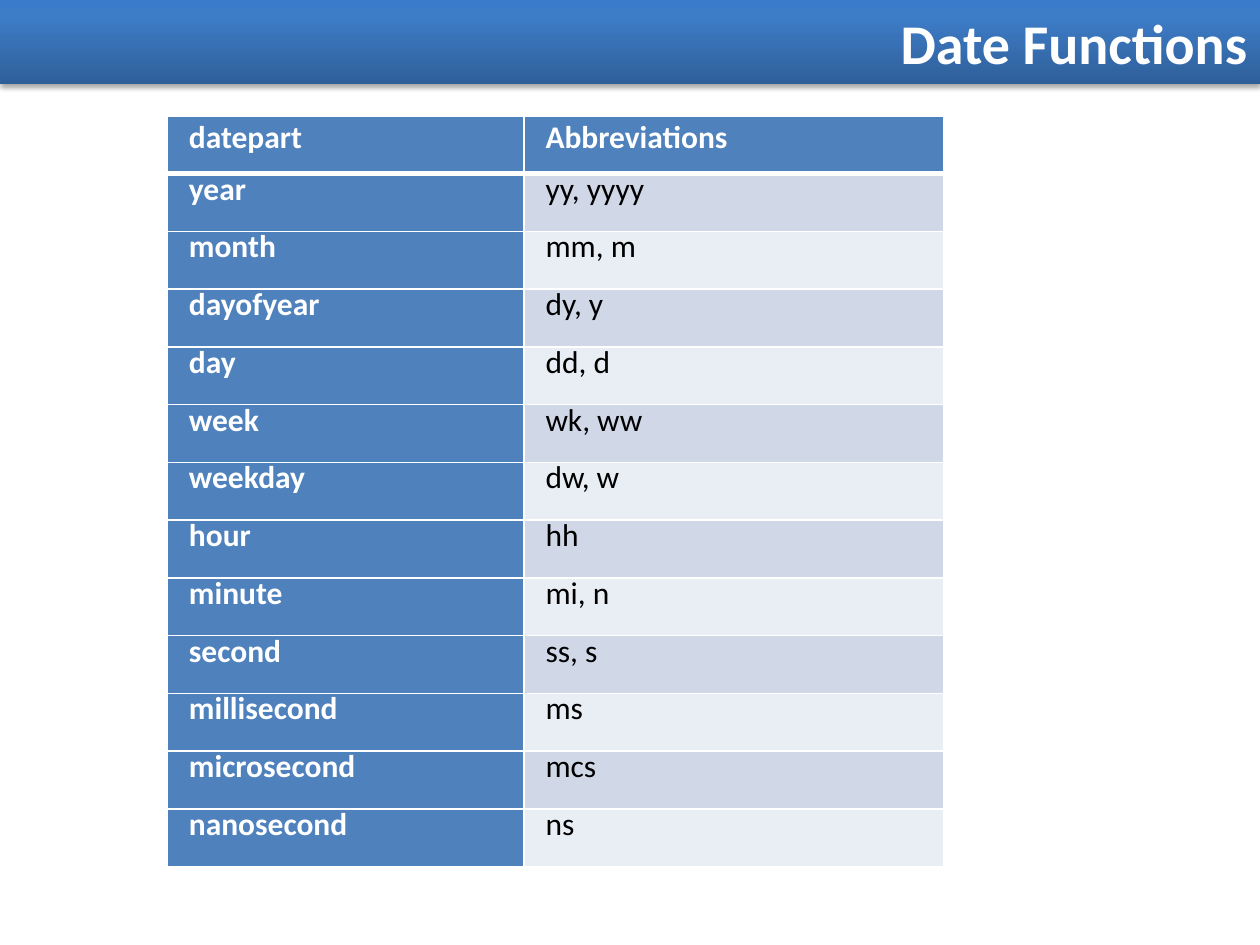
from dataclasses import dataclass

from lxml import etree
from pptx import Presentation
from pptx.dml.color import RGBColor
from pptx.enum.shapes import MSO_SHAPE
from pptx.enum.text import MSO_ANCHOR, PP_ALIGN
from pptx.oxml import parse_xml
from pptx.oxml.ns import qn
from pptx.util import Inches, Pt

RECTANGLE = MSO_SHAPE.RECTANGLE
TOP, MIDDLE = MSO_ANCHOR.TOP, MSO_ANCHOR.MIDDLE
LEFT, RIGHT = PP_ALIGN.LEFT, PP_ALIGN.RIGHT
DRAWING_NS = "http://schemas.openxmlformats.org/drawingml/2006/main"


@dataclass(frozen=True)
class Theme:
    """Colours, font and type sizes of the slide."""
    font: str = "Calibri"
    title_size: float = 32
    cell_size: float = 18
    cell_leading: float = 13.5
    white: str = "FFFFFF"
    black: str = "000000"
    accent: str = "4F81BD"
    bands: tuple = ("D0D8E8", "E9EDF4")
    banner_stops: tuple = ((0, "2F5F99"), (80, "3D7CC7"), (100, "3A7CCB"))


THEME = Theme()
DATEPARTS = [
    ("datepart", "Abbreviations"),
    ("year", "yy, yyyy"),
    ("month", "mm, m"),
    ("dayofyear", "dy, y"),
    ("day", "dd, d"),
    ("week", "wk, ww"),
    ("weekday", "dw, w"),
    ("hour", "hh"),
    ("minute", "mi, n"),
    ("second", "ss, s"),
    ("millisecond", "ms"),
    ("microsecond", "mcs"),
    ("nanosecond", "ns"),
]


def write_text(frame, text, size, color, bold=True, align=LEFT, leading=None, indent=0):
    """Write one formatted paragraph into a text frame."""
    paragraph = frame.paragraphs[0]
    paragraph.alignment = align
    if leading:
        paragraph.line_spacing = Pt(leading)
    if indent:
        paragraph._p.get_or_add_pPr().set("marL", str(Inches(indent)))
    run = paragraph.add_run()
    run.text = text
    run.font.name = THEME.font
    run.font.size = Pt(size)
    run.font.bold = bold
    run.font.color.rgb = RGBColor.from_string(color)


def set_borders(cell, **widths):
    """Draw white cell borders with the given widths in points."""
    properties = cell._tc.get_or_add_tcPr()
    for position, side in enumerate("LRTB"):
        properties.insert(position, parse_xml(
            f'<a:ln{side} xmlns:a="{DRAWING_NS}" w="{Pt(widths.get(side, 1))}">'
            f'<a:solidFill><a:srgbClr val="{THEME.white}"/></a:solidFill></a:ln{side}>'))


def add_datepart_table(slide, left, top, height, column_widths):
    """Place the datepart table with its header row and banded values."""
    table = slide.shapes.add_table(
        len(DATEPARTS), len(column_widths), Inches(left), Inches(top),
        Inches(sum(column_widths)), Inches(height)).table
    table.horz_banding = False
    for column, width in zip(table.columns, column_widths):
        column.width = Inches(width)
    for row_index, entries in enumerate(DATEPARTS):
        is_header = row_index == 0
        for column_index, entry in enumerate(entries):
            is_label = is_header or column_index == 0
            cell = table.cell(row_index, column_index)
            cell.margin_left = cell.margin_right = Inches(0.07)
            cell.margin_top = cell.margin_bottom = Inches(0.09)
            cell.vertical_anchor = MIDDLE if is_header else TOP
            cell.fill.solid()
            cell.fill.fore_color.rgb = RGBColor.from_string(
                THEME.accent if is_label else THEME.bands[(row_index - 1) % 2])
            set_borders(cell, T=3 if row_index == 1 else 1, B=3 if is_header else 1)
            write_text(cell.text_frame, entry, THEME.cell_size,
                       THEME.white if is_label else THEME.black, bold=is_label,
                       leading=THEME.cell_leading, indent=0.1)


def add_title_banner(slide, left, top, width, height, title):
    """Place the gradient banner with its soft shadow and title."""
    banner = slide.shapes.add_shape(
        RECTANGLE, Inches(left), Inches(top), Inches(width), Inches(height))
    banner.line.fill.background()
    banner.shadow.inherit = False
    stops = "".join(
        f'<a:gs pos="{position * 1000}"><a:srgbClr val="{color}"/></a:gs>'
        for position, color in THEME.banner_stops)
    properties = banner._element.spPr
    properties.find(qn("a:prstGeom")).addnext(parse_xml(
        f'<a:gradFill xmlns:a="{DRAWING_NS}" rotWithShape="1"><a:gsLst>{stops}</a:gsLst>'
        '<a:lin ang="16200000" scaled="0"/></a:gradFill>'))
    shadow = etree.SubElement(
        properties.find(qn("a:effectLst")), qn("a:outerShdw"), blurRad=str(Pt(3.1)),
        dist=str(Pt(1.8)), dir="5400000", rotWithShape="0")
    shade = etree.SubElement(shadow, qn("a:srgbClr"), val=THEME.black)
    etree.SubElement(shade, qn("a:alpha"), val="35000")
    frame = banner.text_frame
    frame.word_wrap = True
    frame.vertical_anchor = MIDDLE
    write_text(frame, title, THEME.title_size, THEME.white, align=RIGHT)


def main():
    """Build and save the slide."""
    presentation = Presentation()
    presentation.slide_width, presentation.slide_height = Inches(10), Inches(7.5)
    slide = presentation.slides.add_slide(presentation.slide_layouts[6])
    add_datepart_table(slide, 1.33, 0.92, 5.96, (2.83, 3.33))
    add_title_banner(slide, 0, 0, 10, 0.67, "Date Functions")
    presentation.save("out.pptx")


if __name__ == "__main__":
    main()
